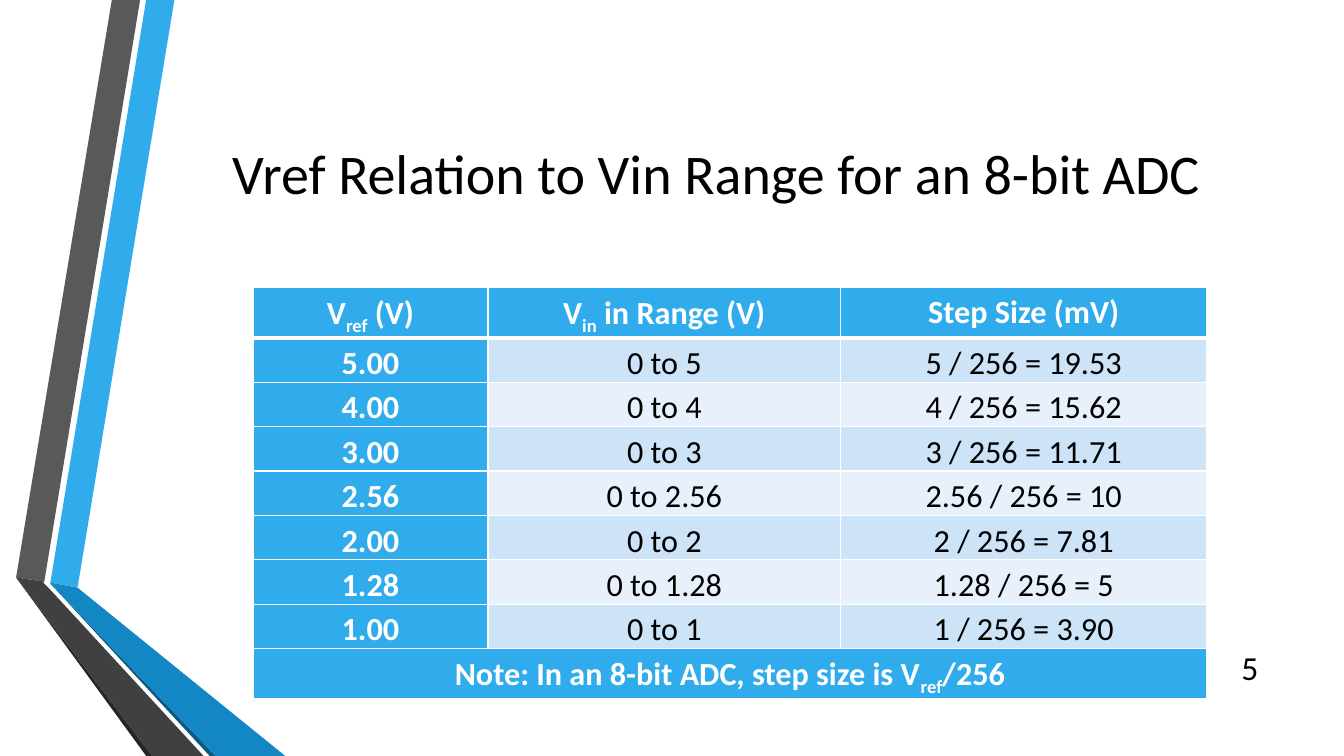
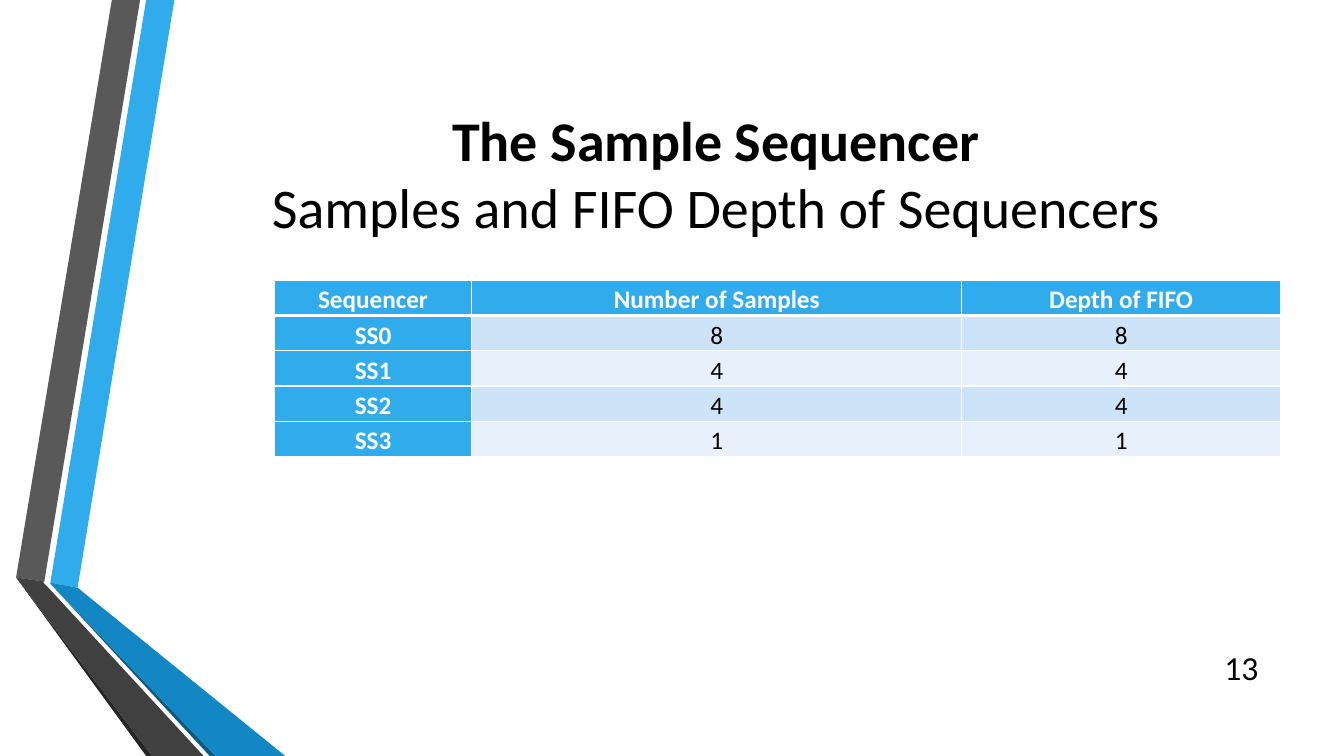
from lxml import etree
from pptx import Presentation
from pptx import util as u
from pptx.dml.color import RGBColor
from pptx.enum import text
from pptx.oxml import ns

FONT = "Calibri"
TITLE_SIZE = 40
TITLE_ONLY = 5
BLACK = RGBColor(0x00, 0x00, 0x00)
WHITE = RGBColor(0xFF, 0xFF, 0xFF)
BLUE = RGBColor(0x30, 0xAC, 0xEC)
BLUE_FOLD = RGBColor(0x12, 0x87, 0xC3)
BLUE_EDGE = RGBColor(0x0C, 0x5A, 0x82)
GREY = RGBColor(0x59, 0x59, 0x59)
GREY_FOLD = RGBColor(0x40, 0x40, 0x40)
GREY_EDGE = RGBColor(0x26, 0x26, 0x26)
ROW_TINTS = (RGBColor(0xCD, 0xE3, 0xF8), RGBColor(0xE8, 0xF1, 0xFB))

RIBBONS = (
    (BLUE, ((0.5, 5.78), (0.77, 5.83), (1.73, 0), (1.45, 0))),
    (GREY, ((1.39, 0), (1.11, 0), (0.16, 5.73), (0.44, 5.77))),
    (GREY_EDGE, ((0.16, 5.73), (1.45, 7.5), (1.51, 7.5))),
    (BLUE_EDGE, ((0.5, 5.79), (2.08, 7.5), (2.14, 7.5))),
    (BLUE_FOLD, ((0.5, 5.79), (2.14, 7.5), (2.83, 7.5), (0.77, 5.83), (0.5, 5.78))),
    (GREY_FOLD, ((2.02, 7.5), (0.48, 5.83), (0.43, 5.78), (0.44, 5.77),
                 (0.16, 5.73), (1.51, 7.5))),
)

VREF_ROWS = (
    ("V_ref_ (V)", "V_in_ in Range (V)", "Step Size (mV)"),
    ("5.00", "0 to 5", "5 / 256 = 19.53"),
    ("4.00", "0 to 4", "4 / 256 = 15.62"),
    ("3.00", "0 to 3", "3 / 256 = 11.71"),
    ("2.56", "0 to 2.56", "2.56 / 256 = 10"),
    ("2.00", "0 to 2", "2 / 256 = 7.81"),
    ("1.28", "0 to 1.28", "1.28 / 256 = 5"),
    ("1.00", "0 to 1", "1 / 256 = 3.90"),
)
VREF_NOTE = "Note: In an 8-bit ADC, step size is V_ref_/256"

SEQUENCER_ROWS = (
    ("Sequencer", "Number of Samples", "Depth of FIFO"),
    ("SS0", "8", "8"),
    ("SS1", "4", "4"),
    ("SS2", "4", "4"),
    ("SS3", "1", "1"),
)


def add_run(paragraph, words, size, color=BLACK, bold=False):
    run = paragraph.add_run()
    run.text = words
    run.font.name = FONT
    run.font.size = u.Pt(size)
    run.font.bold = bold
    run.font.color.rgb = color
    return run


def add_ribbons(slide):
    for color, corners in RIBBONS:
        start, *others = [(u.Inches(x), u.Inches(y)) for x, y in corners]
        outline = slide.shapes.build_freeform(*start)
        outline.add_line_segments(others, close=True)
        ribbon = outline.convert_to_shape()
        ribbon.shadow.inherit = False
        ribbon.fill.solid()
        ribbon.fill.fore_color.rgb = color
        ribbon.line.fill.background()


def set_title(slide, lines):
    title = slide.shapes.title
    title.left, title.top = u.Inches(1.62), u.Inches(0.75)
    title.width, title.height = u.Inches(10.96), u.Inches(1.92)
    frame = title.text_frame
    frame.word_wrap = True
    frame.auto_size = text.MSO_AUTO_SIZE.NONE
    frame.vertical_anchor = text.MSO_ANCHOR.MIDDLE
    paragraph = frame.paragraphs[0]
    paragraph.alignment = text.PP_ALIGN.CENTER
    for index, (words, bold) in enumerate(lines):
        if index:
            paragraph.add_line_break()
            etree.SubElement(paragraph._p[-1], ns.qn("a:rPr"), sz=str(TITLE_SIZE * 100))
        add_run(paragraph, words, TITLE_SIZE, bold=bold)


def add_page_number(slide, number):
    box = slide.shapes.add_textbox(u.Inches(11.98), u.Inches(6.42),
                                   u.Inches(0.6), u.Inches(0.4))
    frame = box.text_frame
    frame.word_wrap = True
    frame.vertical_anchor = text.MSO_ANCHOR.MIDDLE
    paragraph = frame.paragraphs[0]
    paragraph.alignment = text.PP_ALIGN.RIGHT
    add_run(paragraph, str(number), 24)


def add_slide(deck, title_lines, number):
    slide = deck.slides.add_slide(deck.slide_layouts[TITLE_ONLY])
    add_ribbons(slide)
    set_title(slide, title_lines)
    add_page_number(slide, number)
    return slide


def set_borders(cell, top, bottom):
    properties = cell._tc.get_or_add_tcPr()
    for side, width in (("L", 1), ("R", 1), ("T", top), ("B", bottom)):
        border = etree.SubElement(properties, ns.qn(f"a:ln{side}"), w=str(u.Pt(width)))
        fill = etree.SubElement(border, ns.qn("a:solidFill"))
        etree.SubElement(fill, ns.qn("a:srgbClr"), val=str(WHITE))


def style_cell(cell, fill, inset, top, bottom):
    cell.margin_left = cell.margin_right = u.Inches(inset)
    cell.margin_top = cell.margin_bottom = 0
    set_borders(cell, top, bottom)
    cell.fill.solid()
    cell.fill.fore_color.rgb = fill


def write_cell(cell, words, size, strong):
    paragraph = cell.text_frame.paragraphs[0]
    paragraph.alignment = text.PP_ALIGN.CENTER
    paragraph.line_spacing = 1.15
    for index, part in enumerate(words.split("_")):
        run = add_run(paragraph, part, size, WHITE if strong else BLACK, strong)
        if index % 2:
            run.font._element.set("baseline", "-25000")


def add_data_table(slide, left, top, widths, row_height, rows, size, inset, note=None):
    row_count = len(rows) + (note is not None)
    frame = slide.shapes.add_table(row_count, len(widths), u.Inches(left), u.Inches(top),
                                   u.Inches(sum(widths)), u.Inches(row_height * row_count))
    table = frame.table
    for column, width in zip(table.columns, widths):
        column.width = u.Inches(width)
    for r in range(row_count):
        table.rows[r].height = u.Inches(row_height)
        for c in range(len(widths)):
            is_note = r == len(rows)
            strong = r == 0 or c == 0 or is_note
            cell = table.cell(r, c)
            style_cell(cell, BLUE if strong else ROW_TINTS[(r - 1) % 2], inset,
                       top=3 if r == 1 else 1, bottom=3 if r == 0 else 1)
            if not is_note:
                write_cell(cell, rows[r][c], size, strong)
    if note:
        note_cell = table.cell(len(rows), 0)
        note_cell.merge(table.cell(len(rows), len(widths) - 1))
        write_cell(note_cell, note, size, True)


def main():
    deck = Presentation()
    deck.slide_width, deck.slide_height = u.Inches(13.33), u.Inches(7.5)

    vref = add_slide(deck, [("Vref Relation to Vin Range for an 8-bit ADC", False)], 5)
    add_data_table(vref, 2.51, 2.85, (2.33, 3.5, 3.63), 0.43, VREF_ROWS,
                   size=23, inset=0.16, note=VREF_NOTE)

    sequencer = add_slide(deck, [("The Sample Sequencer", True),
                                 ("Samples and FIFO Depth of Sequencers", False)], 13)
    add_data_table(sequencer, 2.72, 2.78, (1.96, 4.86, 3.16), 0.35, SEQUENCER_ROWS,
                   size=18, inset=0.07)

    deck.save("out.pptx")


if __name__ == "__main__":
    main()
